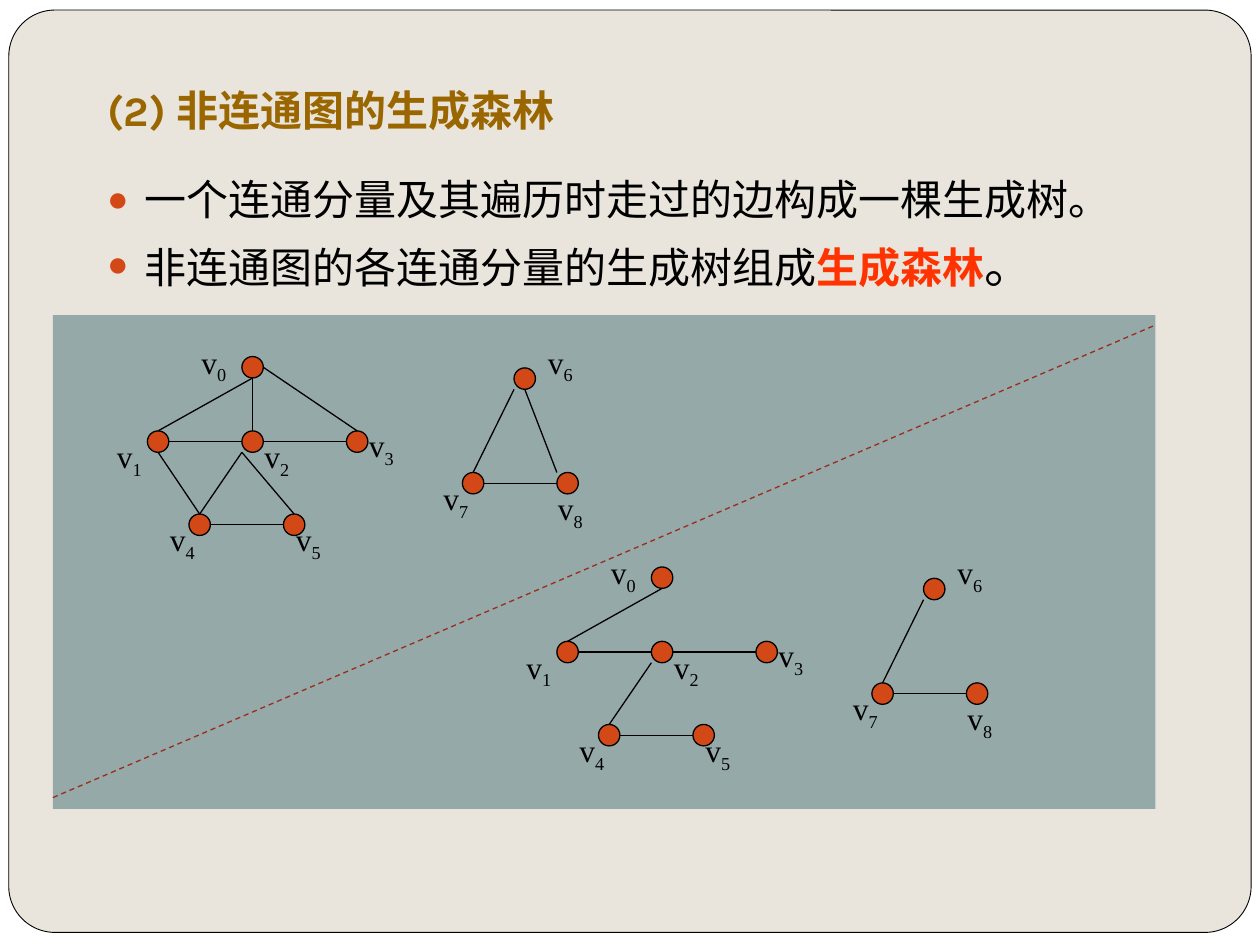
from lxml import etree
from pptx import Presentation
from pptx import util as u
from pptx.dml.color import RGBColor
from pptx.enum import dml, shapes, text
from pptx.oxml import ns

COLORS = {"paper": "E9E5DC", "panel": "96A9A9", "node": "D34817", "ink": "000000",
          "title": "996600", "accent": "FF3300", "divider": "9B2D1F"}
SERIF = "Times New Roman"
NODE = 0.17
ANCHORS = {"top": (0.5, 0), "left": (0, 0.5), "bottom": (0.5, 1), "right": (1, 0.5),
           "top_left": (0, 0), "bottom_left": (0, 1)}
NODES = [(1.92, 2.83), (1.17, 3.42), (1.92, 3.42), (2.75, 3.42), (1.5, 4.08),
         (2.25, 4.08), (4.08, 2.92), (3.67, 3.75), (4.42, 3.75)]
LABELS = [(1.5, 2.67), (0.83, 3.42), (2, 3.42), (2.83, 3.33), (1.25, 4.08),
          (2.25, 4.08), (4.25, 2.67), (3.42, 3.75), (4.33, 3.83)]
FOREST_EDGES = [
    (0, "bottom", 1, "top"), (1, "right", 2, "left"), (2, "right", 3, "left"),
    (2, "bottom_left", 4, "top"), (4, "right", 5, "left"),
    (6, "bottom_left", 7, "top"), (7, "right", 8, "left"),
]
CYCLE_EDGES = [
    (0, "right", 3, "top"), (0, "bottom", 2, "top"), (1, "bottom", 4, "top"),
    (2, "bottom_left", 5, "top"), (6, "bottom", 8, "top_left"),
]
FOREST_SHIFT = (3.25, 1.67)


def color(name):
    """Return the named palette colour."""
    return RGBColor.from_string(COLORS[name])


def add_text(paragraph, content, size=18, font=SERIF, ink="ink", bold=False, baseline=0):
    """Append a formatted run to a paragraph."""
    run = paragraph.add_run()
    run.text = content
    run.font.size = u.Pt(size)
    run.font.name = font
    run.font.bold = bold
    run.font.color.rgb = color(ink)
    if baseline:
        run._r.get_or_add_rPr().set("baseline", str(baseline * 1000))


class GraphSlide:
    """Hold the slide and its style, and draw each kind of element."""

    def __init__(self, slide, line_width=0.75):
        """Keep the slide and the common line width."""
        self.slide = slide
        self.line_width = line_width

    def place(self, shape, left, top, width, height):
        """Move and size a placeholder and return its text frame."""
        shape.left, shape.top = u.Inches(left), u.Inches(top)
        shape.width, shape.height = u.Inches(width), u.Inches(height)
        shape.text_frame.auto_size = text.MSO_AUTO_SIZE.NONE
        return shape.text_frame

    def title(self, content):
        """Fill the title placeholder."""
        frame = self.place(self.slide.shapes.title, 0.75, 0.58, 8.5, 0.58)
        frame.vertical_anchor = text.MSO_ANCHOR.MIDDLE
        paragraph = frame.paragraphs[0]
        paragraph.alignment = text.PP_ALIGN.LEFT
        add_text(paragraph, content, size=24, font="Karla", ink="title", bold=True)

    def bullets(self, items):
        """Fill the body placeholder with bulleted lists of runs."""
        frame = self.place(self.slide.placeholders[1], 0.75, 1.33, 8.5, 5.33)
        for index, runs in enumerate(items):
            paragraph = frame.add_paragraph() if index else frame.paragraphs[0]
            properties = paragraph._p.get_or_add_pPr()
            properties.set("marL", str(u.Inches(0.3)))
            properties.set("indent", str(u.Inches(-0.3)))
            bullet_color = etree.SubElement(properties, ns.qn("a:buClr"))
            etree.SubElement(bullet_color, ns.qn("a:srgbClr"), val=COLORS["node"])
            etree.SubElement(properties, ns.qn("a:buSzPct"), val="85000")
            etree.SubElement(properties, ns.qn("a:buChar"), char="●")
            paragraph.space_before = u.Pt(5.8 if index else 0)
            for content, style in runs:
                add_text(paragraph, content, **{"size": 24, **style})

    def shape(self, kind, left, top, width, height, fill, line_width=0):
        """Add a filled preset shape, outlined if a line width is given."""
        shape = self.slide.shapes.add_shape(
            kind, u.Inches(left), u.Inches(top), u.Inches(width), u.Inches(height))
        shape.shadow.inherit = False
        shape.fill.solid()
        shape.fill.fore_color.rgb = color(fill)
        if line_width:
            shape.line.color.rgb = color("ink")
            shape.line.width = u.Pt(line_width)
        else:
            shape.line.fill.background()
        return shape

    def frame(self):
        """Add the rounded page frame behind everything else."""
        frame = self.shape(shapes.MSO_SHAPE.ROUNDED_RECTANGLE,
                           0.07, 0.08, 9.86, 7.32, "paper", 0.5)
        frame.adjustments[0] = 0.05
        self.slide.shapes._spTree.insert(2, frame._element)

    def line(self, start, end, ink="ink", dash=None):
        """Add a straight line between two points."""
        points = [u.Inches(value) for value in (*start, *end)]
        line = self.slide.shapes.add_connector(shapes.MSO_CONNECTOR.STRAIGHT, *points)
        line.line.color.rgb = color(ink)
        line.line.width = u.Pt(self.line_width)
        if dash:
            line.line.dash_style = dash
        etree.SubElement(line._element.spPr, ns.qn("a:effectLst"))

    def label(self, number, left, top):
        """Add a vertex name with its subscript."""
        box = self.slide.shapes.add_textbox(
            u.Inches(left), u.Inches(top), u.Inches(0.5), u.Inches(0.43))
        box.text_frame.word_wrap = True
        box.text_frame.auto_size = text.MSO_AUTO_SIZE.SHAPE_TO_FIT_TEXT
        paragraph = box.text_frame.paragraphs[0]
        add_text(paragraph, "v")
        add_text(paragraph, str(number), baseline=-25)

    def graph(self, edges, shift=(0, 0)):
        """Draw all vertices, their labels and the given edges."""
        dx, dy = shift
        for number, ((x, y), (label_x, label_y)) in enumerate(zip(NODES, LABELS)):
            self.shape(shapes.MSO_SHAPE.OVAL, x + dx, y + dy, NODE, NODE,
                       "node", self.line_width)
            self.label(number, label_x + dx, label_y + dy)
        for first, first_side, second, second_side in edges:
            ends = []
            for vertex, side in ((first, first_side), (second, second_side)):
                x, y = NODES[vertex]
                across, down = ANCHORS[side]
                ends.append((x + dx + across * NODE, y + dy + down * NODE))
            self.line(*ends)


def main():
    """Build and save the spanning forest slide."""
    presentation = Presentation()
    presentation.slide_width, presentation.slide_height = u.Inches(10), u.Inches(7.5)
    page = GraphSlide(presentation.slides.add_slide(presentation.slide_layouts[1]))
    page.frame()
    page.title("(2) 非连通图的生成森林")
    page.bullets([
        [("一个连通分量及其遍历时走过的边构成一棵生成树。", {})],
        [("非连通图的各连通分量的生成树组成", {}),
         ("生成森林", {"ink": "accent", "bold": True}),
         ("。", {"size": 28})],
    ])
    page.shape(shapes.MSO_SHAPE.RECTANGLE, 0.42, 2.5, 8.75, 3.92, "panel")
    page.graph(FOREST_EDGES + CYCLE_EDGES)
    page.graph(FOREST_EDGES, FOREST_SHIFT)
    page.line((0.42, 6.33), (9.17, 2.58), "divider", dml.MSO_LINE.DASH)
    presentation.save("out.pptx")


if __name__ == "__main__":
    main()
